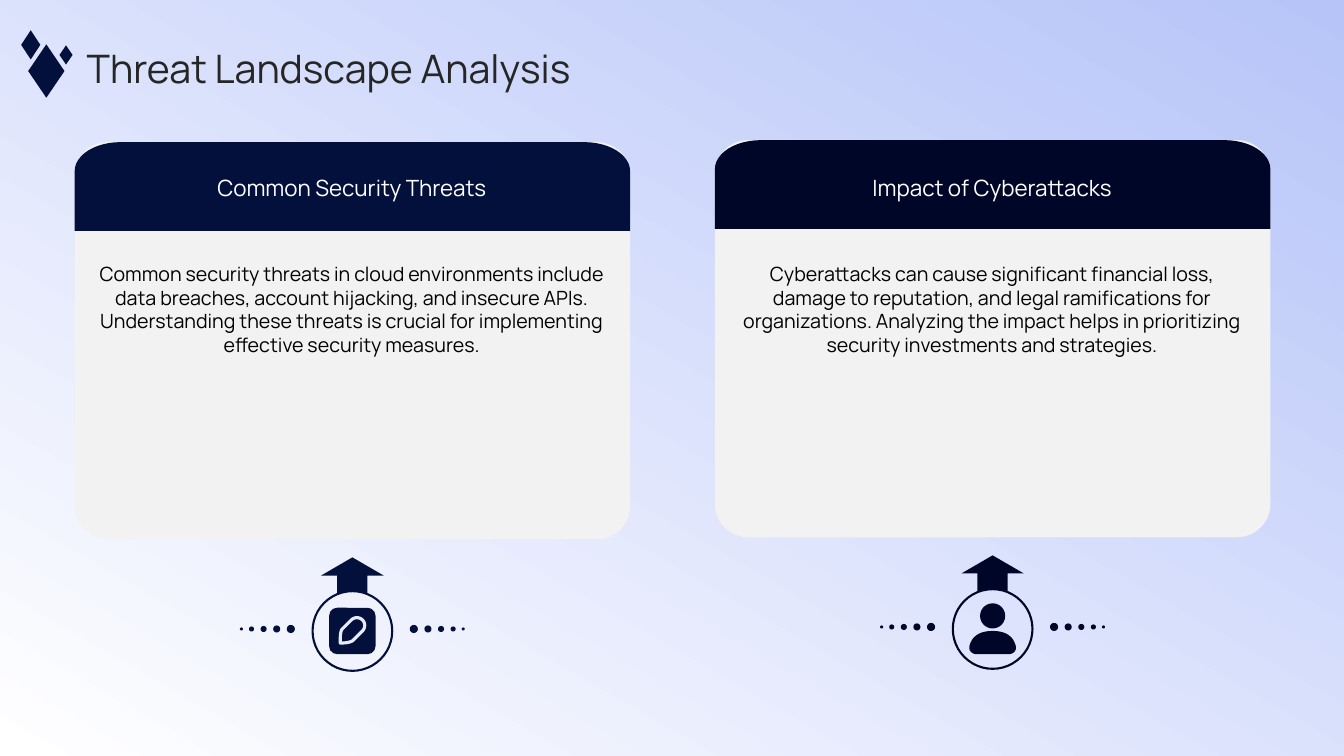
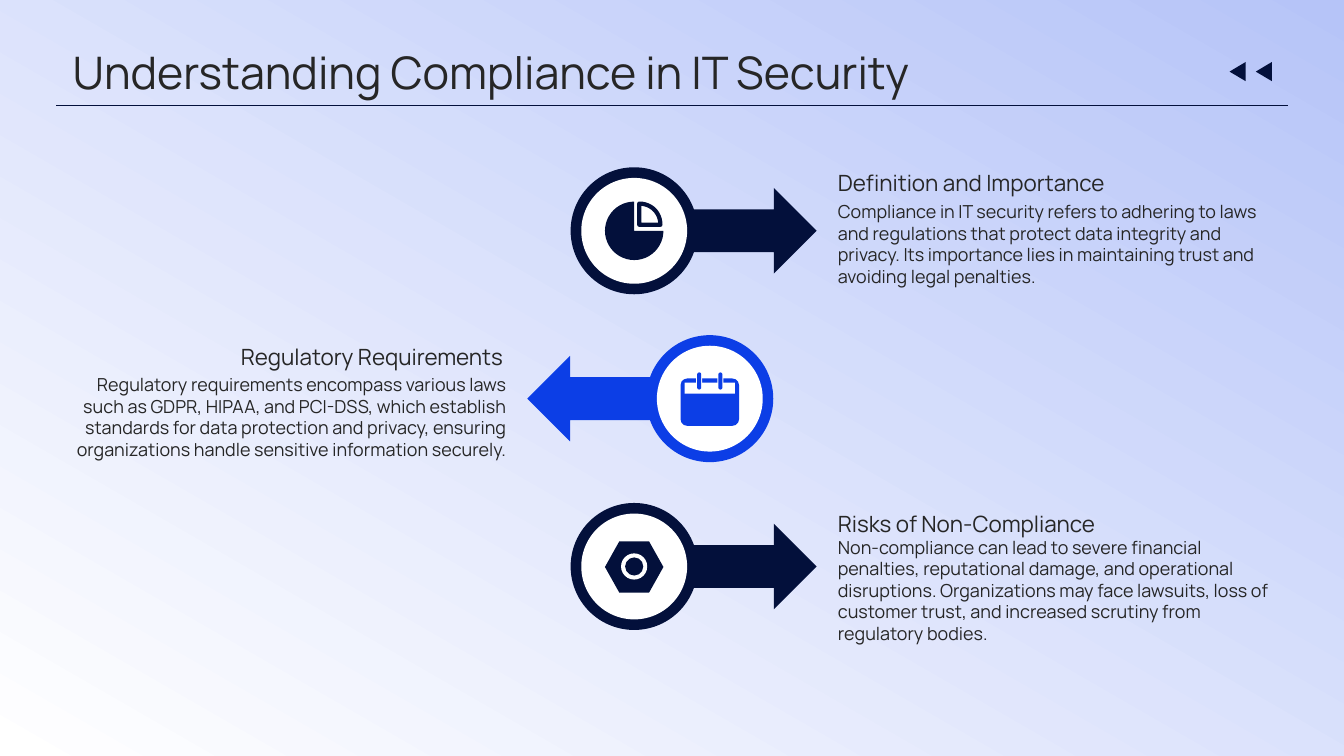
from dataclasses import dataclass
from math import cos, pi, sin
from typing import Callable, Optional

from lxml import etree
from pptx import Presentation
from pptx.dml.color import RGBColor
from pptx.enum import shapes, text
from pptx.oxml import ns
from pptx.util import Inches, Pt

G = shapes.MSO_SHAPE
A = text.PP_ALIGN
V = text.MSO_ANCHOR


@dataclass(frozen=True)
class Theme:
    font: str = "Manrope"
    navy: str = "03103B"
    midnight: str = "000627"
    blue: str = "0C3EE6"
    white: str = "FFFFFF"
    sky: str = "B6C4F8"
    mist: str = "E6EBFD"
    panel: str = "F2F2F2"
    ink: str = "262626"
    black: str = "000000"
    title: float = 28
    title_large: float = 32
    heading: float = 16
    card_body: float = 14
    step_body: float = 12.8
    line_spacing: float = 1.0


T = Theme()
SLIDE_W, SLIDE_H = 13.33, 7.5


def rgb(value: str) -> RGBColor:
    return RGBColor.from_string(value)


# Drawing helpers, all lengths in inches
def paint(sp, fill: Optional[str], line: Optional[str] = None, width: float = 1):
    sp.shadow.inherit = False
    if fill:
        sp.fill.solid()
        sp.fill.fore_color.rgb = rgb(fill)
    else:
        sp.fill.background()
    if line:
        sp.line.color.rgb = rgb(line)
        sp.line.width = Pt(width)
    else:
        sp.line.fill.background()
    return sp


def draw(s, kind, x: float, y: float, w: float, h: float, fill: Optional[str],
         line: Optional[str] = None, width: float = 1, adj: Optional[float] = None):
    sp = s.shapes.add_shape(kind, Inches(x), Inches(y), Inches(w), Inches(h))
    if adj is not None:
        sp.adjustments[0] = adj
    return paint(sp, fill, line, width)


def disc(s, cx: float, cy: float, d: float, fill: Optional[str],
         line: Optional[str] = None, width: float = 1):
    return draw(s, G.OVAL, cx - d / 2, cy - d / 2, d, d, fill, line, width)


def freeform(s, contours: list, fill: Optional[str], line: Optional[str] = None,
             width: float = 1):
    """One shape made of closed contours of points."""
    emu = [[(Inches(x), Inches(y)) for x, y in contour] for contour in contours]
    builder = s.shapes.build_freeform(*emu[0][0])
    for i, (first, *rest) in enumerate(emu):
        if i:
            builder.move_to(*first)
        builder.add_line_segments(rest, close=True)
    return paint(builder.convert_to_shape(), fill, line, width)


def outline(s, ox: float, oy: float, start: tuple, steps: list, fill: Optional[str],
            line: Optional[str] = None, width: float = 1):
    """Closed outline; a step is one point (line) or three points (Bezier curve)."""
    points = [start]
    for step in steps:
        if len(step) == 1:
            points.append(step[0])
            continue
        curve = (points[-1], *step)
        for i in range(1, 13):
            t = i / 12
            weights = ((1 - t) ** 3, 3 * t * (1 - t) ** 2, 3 * t * t * (1 - t), t ** 3)
            points.append(tuple(sum(k * p[axis] for k, p in zip(weights, curve))
                                for axis in (0, 1)))
    return freeform(s, [[(ox + x, oy + y) for x, y in points]], fill, line, width)


def write(sp, box: tuple, words: str, size: float, color: str, align=A.LEFT,
          anchor=V.TOP, pad: float = 0) -> None:
    """Place a placeholder or text box in front and set its text."""
    sp.left, sp.top, sp.width, sp.height = map(Inches, box)
    sp._element.getparent().append(sp._element)
    tf = sp.text_frame
    frame = dict(word_wrap=True, auto_size=text.MSO_AUTO_SIZE.NONE, vertical_anchor=anchor,
                 margin_left=0, margin_right=0, margin_top=Inches(pad), margin_bottom=Inches(pad))
    for name, value in frame.items():
        setattr(tf, name, value)
    p = tf.paragraphs[0]
    for name, value in dict(alignment=align, line_spacing=T.line_spacing,
                            space_before=Pt(0)).items():
        setattr(p, name, value)
    pPr = p._p.get_or_add_pPr()
    pPr.set("marL", "0")
    pPr.set("indent", "0")
    etree.SubElement(pPr, ns.qn("a:buNone"))
    r = p.add_run()
    r.text = words
    for name, value in dict(name=T.font, size=Pt(size), bold=False).items():
        setattr(r.font, name, value)
    r.font.color.rgb = rgb(color)


def text_box(s):
    return s.shapes.add_textbox(0, 0, 0, 0)


# Icons, centred on (cx, cy)
def pencil_icon(s, cx: float, cy: float, color: str) -> None:
    draw(s, G.ROUNDED_RECTANGLE, cx - 0.23, cy - 0.23, 0.46, 0.46, color, adj=0.17)
    steps = [((-0.12, 0.06), (-0.12, 0), (-0.1, -0.02)), ((-0.01, -0.11),),
             ((0.02, -0.14), (0.07, -0.14), (0.1, -0.11)),
             ((0.13, -0.08), (0.13, -0.03), (0.1, 0)), ((0.01, 0.09),),
             ((-0.01, 0.11), (-0.06, 0.12), (-0.12, 0.12))]
    outline(s, cx, cy, (-0.12, 0.12), steps, None, T.mist, 2.25)


def person_icon(s, cx: float, cy: float, color: str) -> None:
    disc(s, cx, cy - 0.13, 0.25, color)
    steps = [((0.15, 0.02), (0.21, 0.09), (0.23, 0.17)),
             ((0.24, 0.21), (0.21, 0.25), (0.16, 0.25)), ((-0.16, 0.25),),
             ((-0.21, 0.25), (-0.24, 0.21), (-0.23, 0.17)),
             ((-0.21, 0.09), (-0.15, 0.02), (0, 0.02))]
    outline(s, cx, cy, (0, 0.02), steps, color)


def pie_icon(s, cx: float, cy: float, color: str) -> None:
    draw(s, G.PIE, cx - 0.29, cy - 0.29, 0.58, 0.58, color)
    steps = [((0.17, -0.27), (0.26, -0.18), (0.26, -0.06)), ((0.05, -0.06),)]
    outline(s, cx, cy, (0.05, -0.27), steps, None, color, 3)


def calendar_icon(s, cx: float, cy: float, color: str) -> None:
    draw(s, G.ROUNDED_RECTANGLE, cx - 0.29, cy - 0.2, 0.58, 0.47, color, adj=0.14)
    draw(s, G.RECTANGLE, cx - 0.25, cy - 0.16, 0.5, 0.11, T.white)
    for side in (-1, 1):
        ring = cx + side * 0.105
        draw(s, G.RECTANGLE, ring - 0.03, cy - 0.21, 0.06, 0.06, T.white)
        draw(s, G.ROUNDED_RECTANGLE, ring - 0.02, cy - 0.26, 0.04, 0.17, color, adj=0.5)


def nut_icon(s, cx: float, cy: float, color: str) -> None:
    draw(s, G.HEXAGON, cx - 0.29, cy - 0.25, 0.58, 0.51, color, adj=0.28)
    disc(s, cx, cy, 0.26, T.white)
    disc(s, cx, cy, 0.18, color)


@dataclass(frozen=True)
class Card:
    heading: str
    body: str
    color: str
    icon: Callable


@dataclass(frozen=True)
class Step:
    heading: str
    body: str
    color: str
    icon: Callable
    points_right: bool
    heading_top: float
    body_top: float


CARDS = [
    Card("Common Security Threats",
         "Common security threats in cloud environments include data breaches, account "
         "hijacking, and insecure APIs. Understanding these threats is crucial for "
         "implementing effective security measures.", T.navy, pencil_icon),
    Card("Impact of Cyberattacks",
         "Cyberattacks can cause significant financial loss, damage to reputation, and legal "
         "ramifications for organizations. Analyzing the impact helps in prioritizing "
         "security investments and strategies.", T.midnight, person_icon),
]
STEPS = [
    Step("Definition and Importance",
         "Compliance in IT security refers to adhering to laws and regulations that protect "
         "data integrity and privacy. Its importance lies in maintaining trust and avoiding "
         "legal penalties.", T.navy, pie_icon, True, 1.26, 1.99),
    Step("Regulatory Requirements",
         "Regulatory requirements encompass various laws such as GDPR, HIPAA, and PCI-DSS, "
         "which establish standards for data protection and privacy, ensuring organizations "
         "handle sensitive information securely.", T.blue, calendar_icon, False, 2.99, 3.71),
    Step("Risks of Non-Compliance",
         "Non-compliance can lead to severe financial penalties, reputational damage, and "
         "operational disruptions. Organizations may face lawsuits, loss of customer trust, "
         "and increased scrutiny from regulatory bodies.", T.navy, nut_icon, True, 4.65, 5.32),
]
DOTS = [(0.61, 0.08), (0.75, 0.07), (0.88, 0.06), (1.0, 0.05), (1.1, 0.03)]


def draw_card(s, card: Card, x: float, y: float, heading, body) -> None:
    """Card with a rounded header, and an icon that points up to it."""
    w, head_h = 5.51, 0.88
    cx, cy = x + w / 2, y + 4.85
    disc(s, cx, cy, 0.79, None, card.color, 1.5)
    card.icon(s, cx, cy, card.color)
    turns = [k * pi / 8 for k in range(16)]
    for side in (1, -1):
        dots = [[(cx + side * offset + d / 2 * cos(a), cy - 0.02 + d / 2 * sin(a)) for a in turns]
                for offset, d in DOTS]
        freeform(s, dots, card.color)
    arrow = [((0.15, -0.55),), ((0.31, -0.55),), ((0, -0.73),), ((-0.31, -0.55),),
             ((-0.15, -0.55),), ((-0.15, -0.37),), ((-0.06, -0.4), (0.06, -0.4), (0.15, -0.37))]
    outline(s, cx, cy, (0.15, -0.37), arrow, card.color)
    draw(s, G.ROUNDED_RECTANGLE, x, y, w, 3.94, T.panel, adj=0.084)
    header = [((w - 0.46, 0),), ((w - 0.2, 0), (w, 0.13), (w, 0.29)), ((w, head_h),),
              ((0, head_h),), ((0, 0.29),), ((0, 0.13), (0.2, 0), (0.46, 0))]
    outline(s, x, y, (0.46, 0), header, card.color)
    write(heading, (x + 0.19, 1.6, 5.12, 0.53), card.heading, T.heading, T.white,
          A.CENTER, V.MIDDLE, 0.05)
    write(body, (x + 0.19, 2.55, 5.12, 2.47), card.body, T.card_body, T.black, A.CENTER, pad=0.05)


def draw_step(s, step: Step, y: float) -> None:
    """Ringed icon with an arrow to its text; left steps mirror right ones."""
    def left(x: float, w: float) -> float:
        return x if step.points_right else SLIDE_W - x - w

    kind, align = (G.RIGHT_ARROW, A.LEFT) if step.points_right else (G.LEFT_ARROW, A.RIGHT)
    cx, cy = left(5.66, 1.26) + 0.63, y + 0.63
    draw(s, kind, left(6.55, 1.55), cy - 0.425, 1.55, 0.85, step.color)
    disc(s, cx, cy, 1.26, step.color)
    disc(s, cx, cy, 1.05, T.white)
    step.icon(s, cx, cy, step.color)
    x = left(8.31, 4.28)
    heading_x = x if step.points_right else x - 0.03
    write(text_box(s), (heading_x, step.heading_top, 4.28, 0.68), step.heading, T.heading,
          T.ink, align, V.BOTTOM)
    write(text_box(s), (x, step.body_top, 4.28, 1.43), step.body, T.step_body, T.ink, align)


def new_slide(prs, layout: str):
    """Slide with the shared gradient backdrop."""
    s = prs.slides.add_slide(prs.slide_layouts.get_by_name(layout))
    fill = draw(s, G.RECTANGLE, 0, 0, SLIDE_W, SLIDE_H, T.white).fill
    fill.gradient()
    fill.gradient_angle = 240
    for stop, color in zip(fill.gradient_stops, (T.sky, T.white)):
        stop.color.rgb = rgb(color)
    return s


def threat_slide(prs) -> None:
    s = new_slide(prs, "Comparison")
    slots = {ph.placeholder_format.idx: ph for ph in s.placeholders}
    for i, card in enumerate(CARDS):
        draw_card(s, card, 0.74 + 6.35 * i, 1.41 - 0.02 * i, slots[1 + 2 * i], slots[2 + 2 * i])
    write(slots[0], (0.86, 0.42, 11.67, 0.51), "Threat Landscape Analysis", T.title, T.ink,
          anchor=V.MIDDLE)
    # Diamond cluster beside the title
    for x, y, w, h in [(0.28, 0.44, 0.36, 0.53), (0.21, 0.3, 0.19, 0.29), (0.59, 0.45, 0.13, 0.19)]:
        draw(s, G.FLOWCHART_DECISION, x, y, w, h, T.navy)


def compliance_slide(prs) -> None:
    s = new_slide(prs, "Title Only")
    for i, step in enumerate(STEPS):
        draw_step(s, step, 1.66 + 1.665 * i)
    write(s.shapes.title, (0.72, 0.46, 11.88, 0.51), "Understanding Compliance in IT Security",
          T.title_large, T.ink, anchor=V.MIDDLE)
    # Title rule and back markers
    rule = s.shapes.add_connector(shapes.MSO_CONNECTOR.STRAIGHT, Inches(0.56), Inches(1.05),
                                  Inches(12.77), Inches(1.05))
    rule.line.color.rgb = rgb(T.navy)
    rule.line.width = Pt(0.75)
    etree.SubElement(rule._element.spPr, ns.qn("a:effectLst"))
    for x in (12.18, 12.44):
        draw(s, G.ISOSCELES_TRIANGLE, x, 0.63, 0.19, 0.16, T.navy).rotation = 270


def main() -> None:
    prs = Presentation()
    prs.slide_width, prs.slide_height = Inches(SLIDE_W), Inches(SLIDE_H)
    threat_slide(prs)
    compliance_slide(prs)
    prs.save("out.pptx")


if __name__ == "__main__":
    main()
